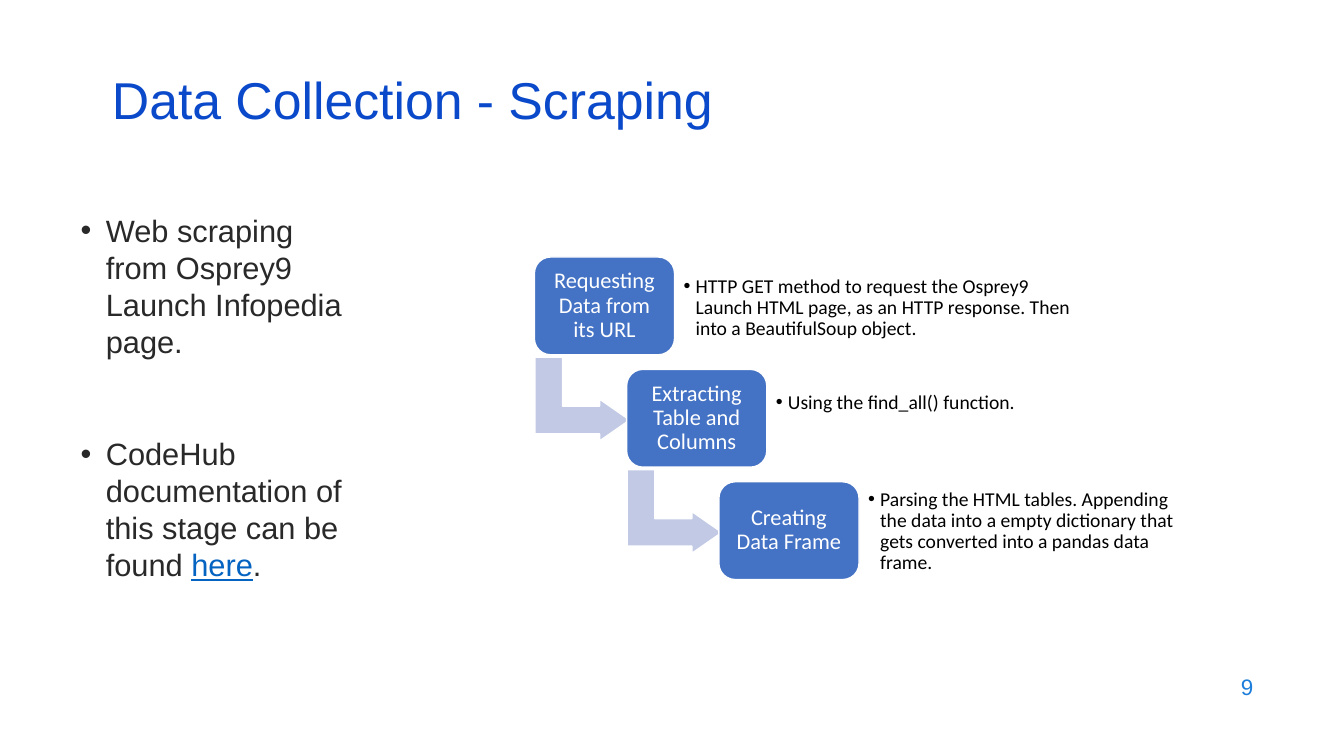
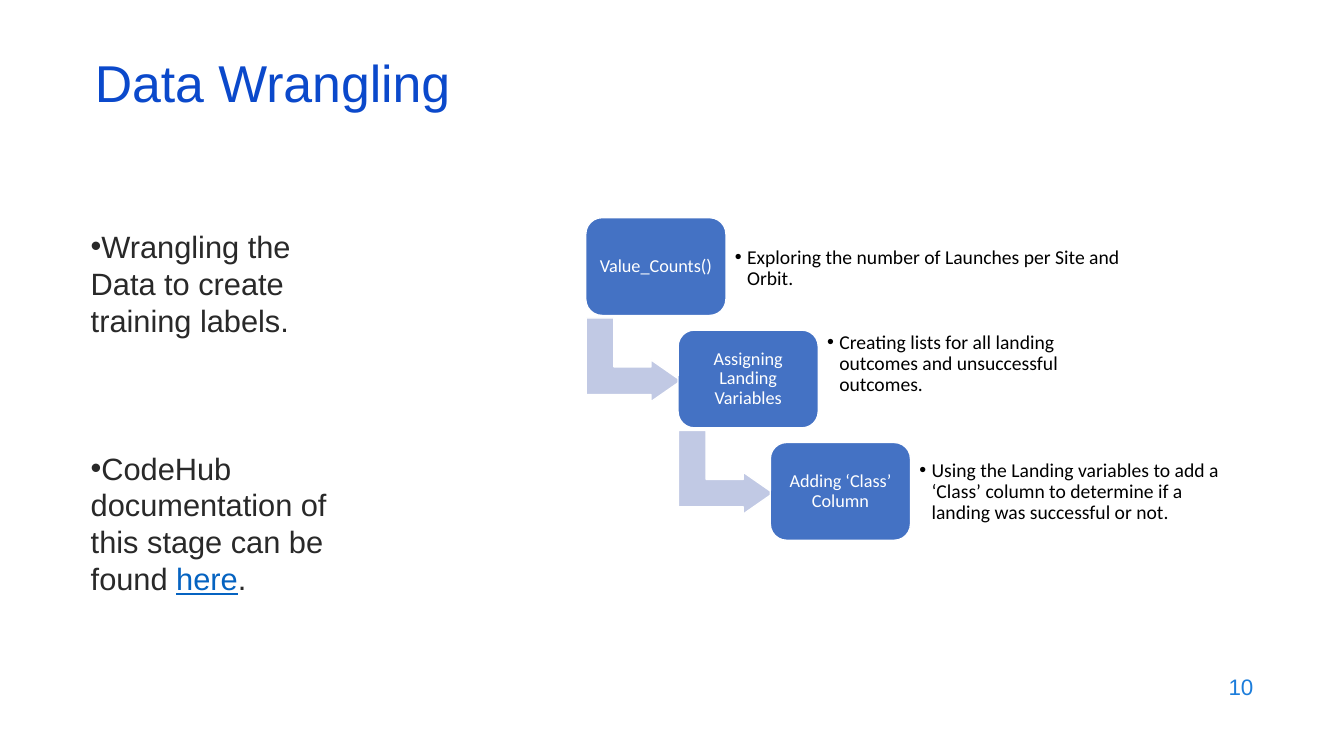
from collections import namedtuple
from dataclasses import dataclass

from lxml.etree import SubElement
from pptx import Presentation
from pptx.dml.color import RGBColor
from pptx.enum.shapes import MSO_SHAPE
from pptx.enum.text import MSO_ANCHOR, MSO_AUTO_SIZE, PP_ALIGN
from pptx.oxml.ns import qn
from pptx.util import Inches, Pt

Box = namedtuple("Box", "x y w h")
Step = namedtuple("Step", "label note note_w note_dy")


@dataclass(frozen=True)
class Theme:
    head_font: str = "Arial"
    flow_font: str = "Calibri"
    title: str = "0B49CB"
    body: str = "292929"
    link: str = "0563C1"
    number: str = "1C7DDB"
    step: str = "4472C4"
    arrow: str = "C1C9E4"
    white: str = "FFFFFF"
    black: str = "000000"
    title_size: int = 37
    body_size: int = 22
    number_size: int = 16
    note_size: int = 14
    body_leading: float = 26.4


T = Theme()
SLIDE_W, SLIDE_H = 13.33, 7.5
NUMBER_BOX = Box(9.53, 6.59, 3, 0.44)

# Staircase grid: one column and one row per step
COL, ROW = 0.915, 1.115
STEP_W, STEP_H = 1.39, 0.97
ARROW_W, ARROW_H = 0.83, 0.94
ARROW_DX, ARROW_DY = 0.06, 0.94
NOTE_DX, NOTE_H = 1.42, 0.79


def place(sp, box):
    sp.left, sp.top, sp.width, sp.height = map(Inches, box)


def set_frame(tf, anchor, inset=None):
    tf.word_wrap = True
    tf.auto_size = MSO_AUTO_SIZE.NONE
    tf.vertical_anchor = anchor
    if inset is not None:
        tf.margin_left = tf.margin_right = Inches(inset)
        tf.margin_top = tf.margin_bottom = Inches(inset)


def style_run(r, font, size, color, underline=None):
    r.font.name, r.font.size = font, Pt(size)
    r.font.color.rgb = RGBColor.from_string(color)
    r.font.underline = underline


def set_bullet(p, indent):
    pPr = p._p.get_or_add_pPr()
    pPr.set("marL", str(Inches(indent)))
    pPr.set("indent", str(-Inches(indent)))
    SubElement(pPr, qn("a:buFont")).set("typeface", "Arial")
    SubElement(pPr, qn("a:buChar")).set("char", "•")


def set_line(tf, text, font, size, color, align=PP_ALIGN.LEFT, leading=None):
    """Fill a frame with one paragraph in one style."""
    tf.text = text
    p = tf.paragraphs[0]
    p.alignment, p.line_spacing = align, leading
    style_run(p.runs[0], font, size, color)
    return p


def add_text(s, box, inset=None):
    sp = s.shapes.add_textbox(*map(Inches, box))
    set_frame(sp.text_frame, MSO_ANCHOR.MIDDLE, inset)
    return sp.text_frame


def add_preset(s, kind, box, fill):
    sp = s.shapes.add_shape(kind, *map(Inches, box))
    sp.shadow.inherit = False
    sp.fill.solid()
    sp.fill.fore_color.rgb = RGBColor.from_string(fill)
    sp.line.color.rgb = RGBColor.from_string(T.white)
    sp.line.width = Pt(1)
    return sp


# Title and slide number
def add_heading(s, box, title, number):
    place(s.shapes.title, box)
    tf = s.shapes.title.text_frame
    set_frame(tf, MSO_ANCHOR.MIDDLE)
    set_line(tf, title, T.head_font, T.title_size, T.title, leading=0.7)
    set_line(add_text(s, NUMBER_BOX), number, T.head_font, T.number_size,
             T.number, PP_ALIGN.RIGHT)


# Bullet list in the body placeholder
def add_points(s, box, points, indent, gap):
    sp = s.placeholders[1]
    place(sp, box)
    tf = sp.text_frame
    set_frame(tf, MSO_ANCHOR.TOP)
    for i, parts in enumerate(points):
        p = tf.add_paragraph() if i else tf.paragraphs[0]
        set_bullet(p, indent)
        p.line_spacing = Pt(T.body_leading)
        p.space_before = Pt(gap if i else 0)
        for text, is_link in parts:
            r = p.add_run()
            r.text = text
            style_run(r, T.head_font, T.body_size,
                      T.link if is_link else T.body, is_link)


# Descending steps, each with a note, joined by bent arrows
def add_staircase(s, x, y, steps, label_size, inset):
    for i, step in enumerate(steps):
        left, top = x + i * COL, y + i * ROW
        if i < len(steps) - 1:
            arrow = add_preset(s, MSO_SHAPE.BENT_UP_ARROW,
                               Box(left + ARROW_DX, top + ARROW_DY,
                                   ARROW_W, ARROW_H), T.arrow)
            arrow.rotation = 90
            for k, value in enumerate((0.33, 0.25, 0.36)):
                arrow.adjustments[k] = value
        block = add_preset(s, MSO_SHAPE.ROUNDED_RECTANGLE,
                           Box(left, top, STEP_W, STEP_H), T.step)
        set_frame(block.text_frame, MSO_ANCHOR.MIDDLE, inset)
        set_line(block.text_frame, step.label, T.flow_font, label_size,
                 T.white, PP_ALIGN.CENTER, 0.9)
        tf = add_text(s, Box(left + NOTE_DX, top + step.note_dy,
                             step.note_w, NOTE_H), 0.06)
        p = set_line(tf, step.note, T.flow_font, T.note_size, T.black)
        set_bullet(p, 0.12)
        p.line_spacing = 0.9


DOCS_POINT = [("CodeHub documentation of this stage can be found ", False),
              ("here", True), (".", False)]

SLIDES = [
    dict(
        heading=(Box(1.01, 0.76, 11.5, 0.6), "Data Collection - Scraping", "9"),
        points=(Box(0.7, 2.05, 2.88, 5.23),
                [[("Web scraping from Osprey9 Launch Infopedia page.", False)],
                 DOCS_POINT], 0.25, 54),
        staircase=(5.3, 2.55, [
            Step("Requesting Data from its URL",
                 "HTTP GET method to request the Osprey9 Launch HTML page, "
                 "as an HTTP response. Then into a BeautifulSoup object.",
                 4.03, 0.11),
            Step("Extracting Table and Columns",
                 "Using the find_all() function.", 3.15, -0.06),
            Step("Creating Data Frame",
                 "Parsing the HTML tables. Appending the data into a empty "
                 "dictionary that gets converted into a pandas data frame.",
                 3.34, 0.1),
        ], 16, 0.07),
    ),
    dict(
        heading=(Box(0.84, 0.59, 11.5, 0.6), "Data Wrangling", "10"),
        points=(Box(0.8, 2.21, 2.86, 4.55),
                [[("Wrangling the Data to create training labels.", False)],
                 DOCS_POINT], 0, 79),
        staircase=(5.81, 2.16, [
            Step("Value_Counts()",
                 "Exploring the number of Launches per Site and Orbit.",
                 4.03, 0.11),
            Step("Assigning Landing Variables",
                 "Creating lists for all landing outcomes and unsuccessful "
                 "outcomes.", 3.15, -0.06),
            Step("Adding ‘Class’ Column",
                 "Using the Landing variables to add a ‘Class’ column to "
                 "determine if a landing was successful or not.", 3.34, 0.1),
        ], 13, 0.05),
    ),
]


def main():
    prs = Presentation()
    prs.slide_width, prs.slide_height = Inches(SLIDE_W), Inches(SLIDE_H)
    for content in SLIDES:
        s = prs.slides.add_slide(prs.slide_layouts[1])
        add_heading(s, *content["heading"])
        add_points(s, *content["points"])
        add_staircase(s, *content["staircase"])
    prs.save("out.pptx")


if __name__ == "__main__":
    main()
